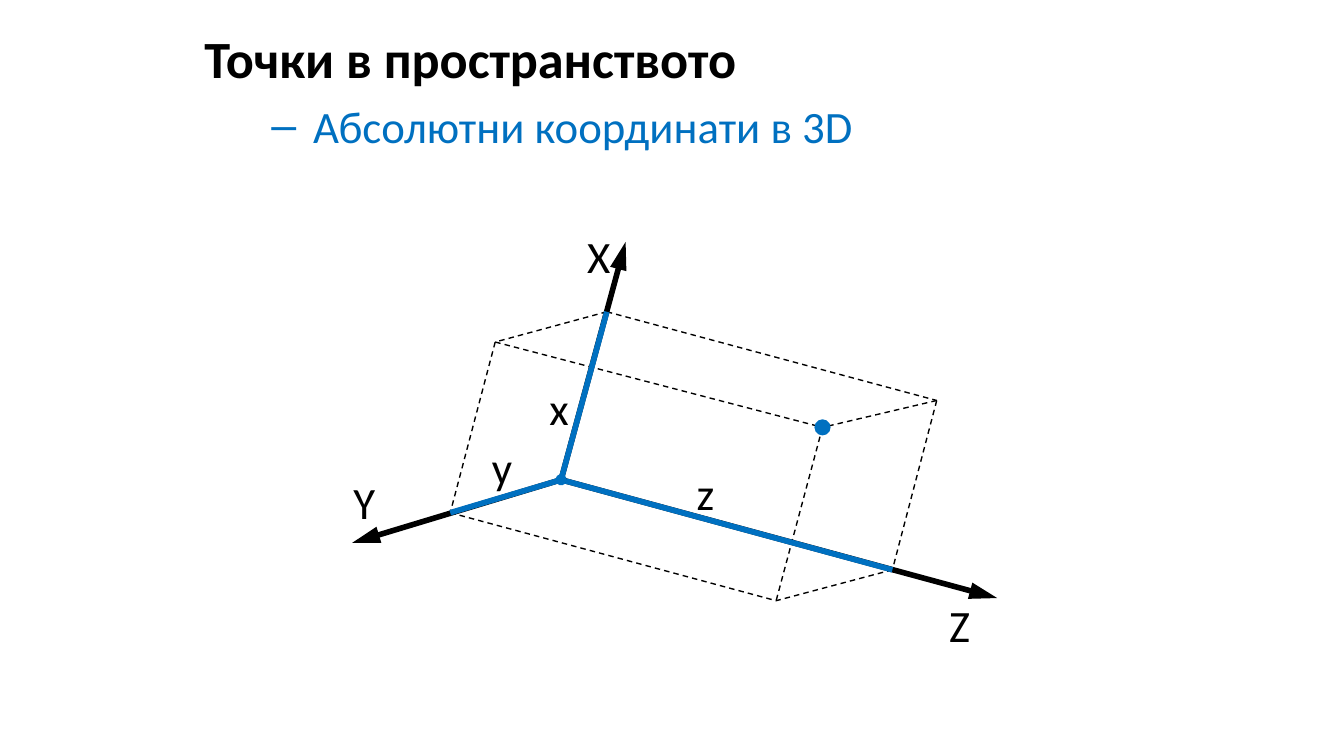
from lxml import etree
from pptx import Presentation
from pptx.dml.color import RGBColor
from pptx.enum.dml import MSO_LINE
from pptx.enum.shapes import MSO_CONNECTOR, MSO_SHAPE
from pptx.enum.text import MSO_ANCHOR, PP_ALIGN
from pptx.oxml.ns import qn
from pptx.util import Pt

PX = 4572
BLACK = RGBColor(0x00, 0x00, 0x00)
BLUE = RGBColor(0x00, 0x70, 0xC0)
FONT = "Calibri"
DASH = MSO_LINE.DASH
STRAIGHT = MSO_CONNECTOR.STRAIGHT
ELLIPSE = MSO_SHAPE.OVAL
TOP = MSO_ANCHOR.TOP
CENTER = PP_ALIGN.CENTER

SLIDE_SIZE = (2000, 1125)
HEADING_BOX = (284, 29, 1716, 1034)
DIAGRAM_BOX = (500, 330, 984, 624)

ARROW = {"type": "triangle", "w": "med", "len": "lg"}
DOT = {"type": "oval", "w": "sm", "len": "sm"}

VERTICES = {
    "O": (335, 384),
    "x": (403, 134),
    "y": (170, 433),
    "z": (828, 518),
    "xy": (237, 179),
    "xz": (894, 266),
    "yz": (655, 564),
    "xyz": (724, 306),
}
AXIS_TIPS = [(431, 30), (984, 560), (24, 478)]
EDGES = [
    ("xz", "z"), ("z", "yz"), ("x", "xz"), ("xy", "xyz"), ("y", "yz"),
    ("xyz", "yz"), ("xy", "y"), ("xz", "xyz"), ("x", "xy"),
]
LABELS = [
    ("y", 212, 314, 70, 100),
    ("Z", 886, 550, 84, 74),
    ("Y", 0, 367, 84, 126),
    ("X", 349, 0, 84, 126),
    ("x", 297, 227, 70, 100),
    ("z", 516, 353, 68, 100),
]


def px(*lengths):
    """Turn px lengths into EMU."""
    return [length * PX for length in lengths]


def add_run(paragraph, text, size, color, bold=False):
    """Append a formatted run to a paragraph."""
    run = paragraph.add_run()
    run.text = text
    run.font.name = FONT
    run.font.size = Pt(size)
    run.font.bold = bold
    run.font.color.rgb = color


def set_bullet(paragraph, left, hanging, mark=None):
    """Give a paragraph its indent and its bullet mark, if any."""
    properties = paragraph._p.get_or_add_pPr()
    properties.set("marL", str(left * PX))
    properties.set("indent", str(-hanging * PX))
    if mark:
        etree.SubElement(properties, qn("a:buChar")).set("char", mark)
    else:
        etree.SubElement(properties, qn("a:buNone"))


def add_line(slide, box, start, end, color, width, dash=None, tip=None):
    """Draw a line between two points of the box."""
    left, top = box[:2]
    ends = px(left + start[0], top + start[1], left + end[0], top + end[1])
    connector = slide.shapes.add_connector(STRAIGHT, *ends)
    connector.line.color.rgb = color
    connector.line.width = Pt(width)
    if dash:
        connector.line.dash_style = dash
    if tip:
        outline = connector.line._get_or_add_ln()
        etree.SubElement(outline, qn("a:tailEnd"), tip)
    etree.SubElement(connector._element.spPr, qn("a:effectLst"))


def add_label(slide, box, text, x, y, width, height):
    """Write an axis or coordinate letter inside the box."""
    label = slide.shapes.add_textbox(*px(box[0] + x, box[1] + y, width, height))
    frame = label.text_frame
    frame.word_wrap = True
    frame.vertical_anchor = TOP
    frame.margin_left = frame.margin_right = 0
    paragraph = frame.paragraphs[0]
    paragraph.alignment = CENTER
    add_run(paragraph, text, 24, BLACK)


def add_point(slide, box, center, size):
    """Mark a point of the box with a blue dot."""
    left = box[0] + center[0] - size // 2
    top = box[1] + center[1] - size // 2
    dot = slide.shapes.add_shape(ELLIPSE, *px(left, top, size, size))
    dot.shadow.inherit = False
    dot.fill.solid()
    dot.fill.fore_color.rgb = BLUE
    dot.line.fill.background()


def add_heading(slide, box):
    """Fill the body placeholder with the heading and its subtopic."""
    body = slide.placeholders[1]
    body.left, body.top, body.width, body.height = px(*box)
    frame = body.text_frame
    frame.vertical_anchor = TOP
    heading = frame.paragraphs[0]
    heading.space_before = Pt(0)
    set_bullet(heading, 0, 0)
    add_run(heading, "Точки в пространството", 28, BLACK, bold=True)
    subtopic = frame.add_paragraph()
    subtopic.level = 1
    subtopic.space_before = Pt(5)
    set_bullet(subtopic, 162, 62, "–")
    add_run(subtopic, "Абсолютни координати в 3D", 24, BLUE)


def add_diagram(slide, box):
    """Draw the axes, the coordinate box and the point in space."""
    origin = VERTICES["O"]
    for tip in AXIS_TIPS:
        add_line(slide, box, origin, tip, BLACK, 3, tip=ARROW)
    for start, end in EDGES:
        add_line(slide, box, VERTICES[start], VERTICES[end], BLACK, 0.75, DASH)
    add_point(slide, box, VERTICES["xyz"], 24)
    for coordinate, tip in (("y", None), ("x", None), ("z", DOT)):
        add_line(slide, box, VERTICES[coordinate], origin, BLUE, 3, tip=tip)
    for label in LABELS:
        add_label(slide, box, *label)


def main():
    """Build the slide and save it."""
    presentation = Presentation()
    presentation.slide_width, presentation.slide_height = px(*SLIDE_SIZE)
    slide = presentation.slides.add_slide(presentation.slide_layouts[1])
    empty_title = slide.shapes.title._element
    empty_title.getparent().remove(empty_title)
    add_heading(slide, HEADING_BOX)
    add_diagram(slide, DIAGRAM_BOX)
    presentation.save("out.pptx")


if __name__ == "__main__":
    main()
